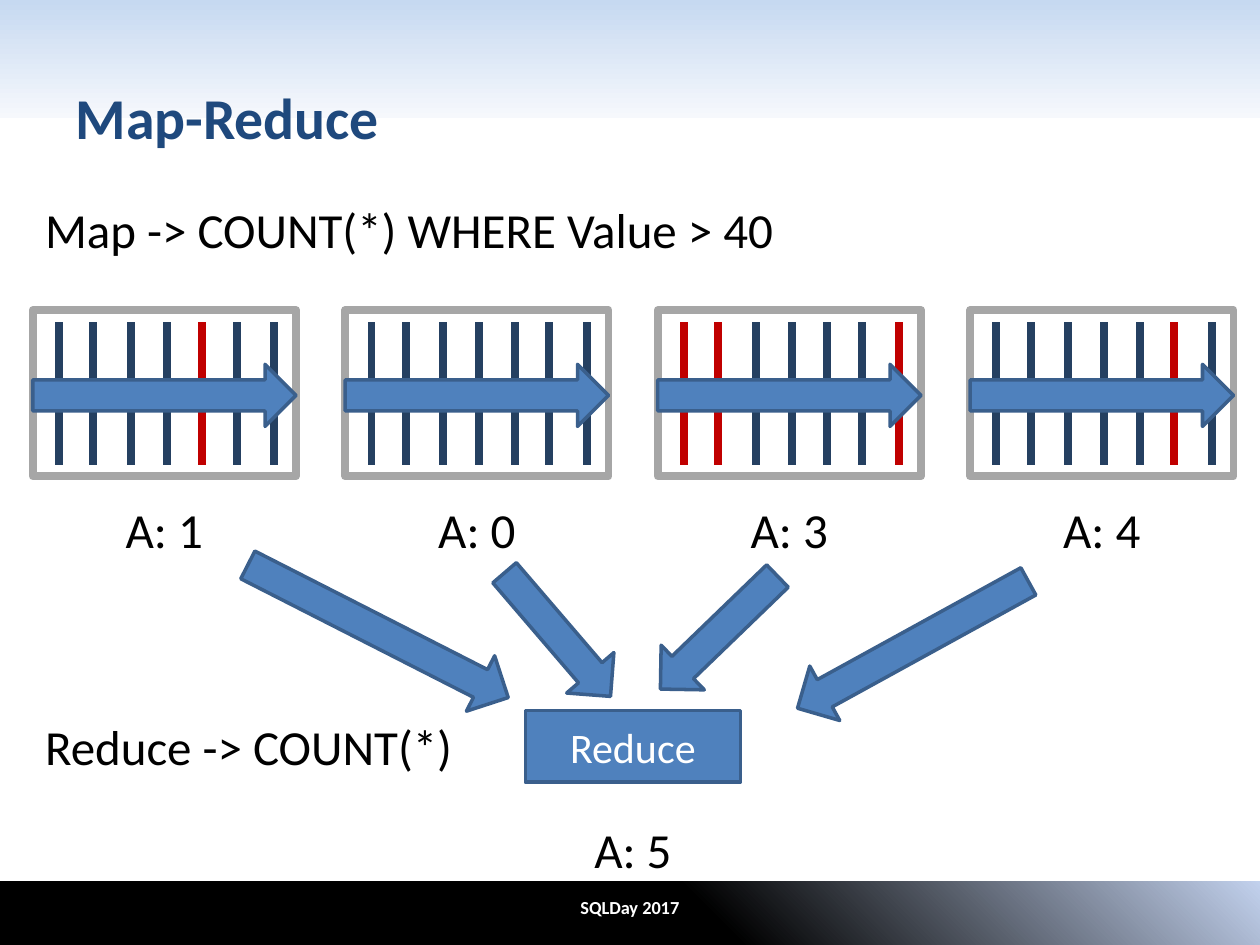
from dataclasses import dataclass
from lxml import etree
from pptx import Presentation
from pptx.dml.color import RGBColor as RGB
from pptx.enum.shapes import MSO_CONNECTOR as CONN, MSO_SHAPE as SHAPE
from pptx.enum.text import MSO_ANCHOR as ANCHOR, PP_ALIGN as ALIGN
from pptx.oxml.ns import qn
from pptx.util import Pt


@dataclass(frozen=True)
class Theme:
    font: str = "Calibri"
    title: str = "1F497D"
    text: str = "000000"
    white: str = "FFFFFF"
    blue: str = "4F81BD"
    blue_edge: str = "3A5F8C"
    frame: str = "A6A6A6"
    row: str = "254061"
    match: str = "C00000"
    sky: tuple = ("C6D9F1", "F6F8FC")
    night: tuple = ("000000", "C2D1ED")
    title_size: float = 33
    body_size: float = 28
    box_size: float = 24
    footer_size: float = 10.5
    thick: float = 4.5
    thin: float = 2


T = Theme()
ROW_OFFSETS = (15, 34.5, 56, 76.5, 97, 116.5, 138)


def write(tf, text, size=T.body_size, color=T.text, bold=False,
          align=ALIGN.LEFT, anchor=ANCHOR.TOP):
    tf.word_wrap = True
    tf.vertical_anchor = anchor
    p = tf.paragraphs[0]
    p.alignment = align
    r = p.add_run()
    r.text = text
    r.font.name, r.font.size, r.font.bold = T.font, Pt(size), bold
    r.font.color.rgb = RGB.from_string(color)


def add_text(slide, box, text, **fmt):
    sp = slide.shapes.add_textbox(*map(Pt, box))
    write(sp.text_frame, text, **fmt)


def add_block(slide, kind, box, fill=T.blue, line=T.blue_edge,
              width=T.thin, rotation=0):
    sp = slide.shapes.add_shape(kind, *map(Pt, box))
    sp.shadow.inherit = False
    sp.fill.solid()
    sp.fill.fore_color.rgb = RGB.from_string(fill)
    sp.line.color.rgb = RGB.from_string(line)
    sp.line.width = Pt(width)
    sp.rotation = rotation
    return sp


def add_band(slide, box, colors, start, angle):
    sp = slide.shapes.add_shape(SHAPE.RECTANGLE, *map(Pt, box))
    sp.shadow.inherit = False
    sp.line.fill.background()
    sp.fill.gradient()
    sp.fill.gradient_angle = angle
    for stop, color, pos in zip(sp.fill.gradient_stops, colors, (start, 1)):
        stop.color.rgb = RGB.from_string(color)
        stop.position = pos


def add_row_line(slide, x, top, bottom, color):
    line = slide.shapes.add_connector(CONN.STRAIGHT, Pt(x), Pt(top), Pt(x), Pt(bottom))
    line.line.color.rgb = RGB.from_string(color)
    line.line.width = Pt(T.thick)
    etree.SubElement(line.element.spPr, qn("a:effectLst"))


def add_header(slide, box):
    x, y, w, h = box
    add_band(slide, (x, y, w, 67.5), T.sky, 0, 270)
    title = slide.shapes.title
    title.left, title.top, title.width, title.height = map(
        Pt, (x + 36, y + 21.6, w - 72, h - 21.6))
    write(title.text_frame, "Map-Reduce", size=T.title_size, color=T.title,
          bold=True, anchor=ANCHOR.MIDDLE)
    # Bring the title in front of the band
    title.element.getparent().append(title.element)


def add_footer(slide, box):
    x, y, w, h = box
    add_band(slide, box, T.night, 0.56, 45)
    add_text(slide, (x + w / 2 - 151, y, 302, 30), "SQLDay 2017",
             size=T.footer_size, color=T.white, bold=True,
             align=ALIGN.CENTER, anchor=ANCHOR.MIDDLE)


def add_partition(slide, box, matches, answer):
    """One data partition: framed rows, scan arrow and its count."""
    x, y, w, h = box
    add_block(slide, SHAPE.RECTANGLE, box, T.white, T.frame, T.thick)
    for i, dx in enumerate(ROW_OFFSETS):
        add_row_line(slide, x + dx, y + 7, y + h - 6.5,
                     T.match if i in matches else T.row)
    add_block(slide, SHAPE.RIGHT_ARROW, (x, y + 31, w, 35.5))
    add_text(slide, (x + w / 2 - 36.4, y + 104.5, 72.8, 41), answer,
             align=ALIGN.CENTER)


def add_map(slide, box):
    x, y, w, h = box
    add_text(slide, (x, y, w, 41), "Map -> COUNT(*) WHERE Value > 40")
    partitions = [({4}, "A: 1"), (set(), "A: 0"), ({0, 1, 6}, "A: 3"), ({5}, "A: 4")]
    width = 150.5
    pitch = (w - width) / (len(partitions) - 1)
    for i, (matches, answer) in enumerate(partitions):
        add_partition(slide, (x + i * pitch, y + 67, width, 95), matches, answer)


def add_reduce(slide, box):
    x, y, w, h = box
    # Step name, reducer and final answer
    add_text(slide, (x, y + 63, 290, 41), "Reduce -> COUNT(*)")
    sp = add_block(slide, SHAPE.RECTANGLE, (x + 281.5, y + 63, 123, 41))
    write(sp.text_frame, "Reduce", size=T.box_size, color=T.white,
          align=ALIGN.CENTER, anchor=ANCHOR.MIDDLE)
    add_text(slide, (x + 306.6, y + 122, 72.8, 41), "A: 5", align=ALIGN.CENTER)
    # Arrows from the partitions: left, top, length, rotation
    for dx, dy, length, rotation in (
            (113.8, 0, 167, 27), (427.7, 7.7, 150.5, 151.2),
            (253.4, 1.9, 93, 49.4), (345.6, 0.7, 93, 136)):
        add_block(slide, SHAPE.RIGHT_ARROW, (x + dx, y + dy, length, 35.5),
                  rotation=rotation)


def main():
    prs = Presentation()
    prs.slide_width, prs.slide_height = Pt(720), Pt(540)
    slide = prs.slides.add_slide(prs.slide_layouts[5])
    add_footer(slide, (0, 503.5, 720, 36.5))
    add_header(slide, (0, 0, 720, 111.6))
    add_map(slide, (18.7, 110.2, 686.2, 212))
    add_reduce(slide, (18.7, 343, 686.2, 163))
    prs.save("out.pptx")


if __name__ == "__main__":
    main()
